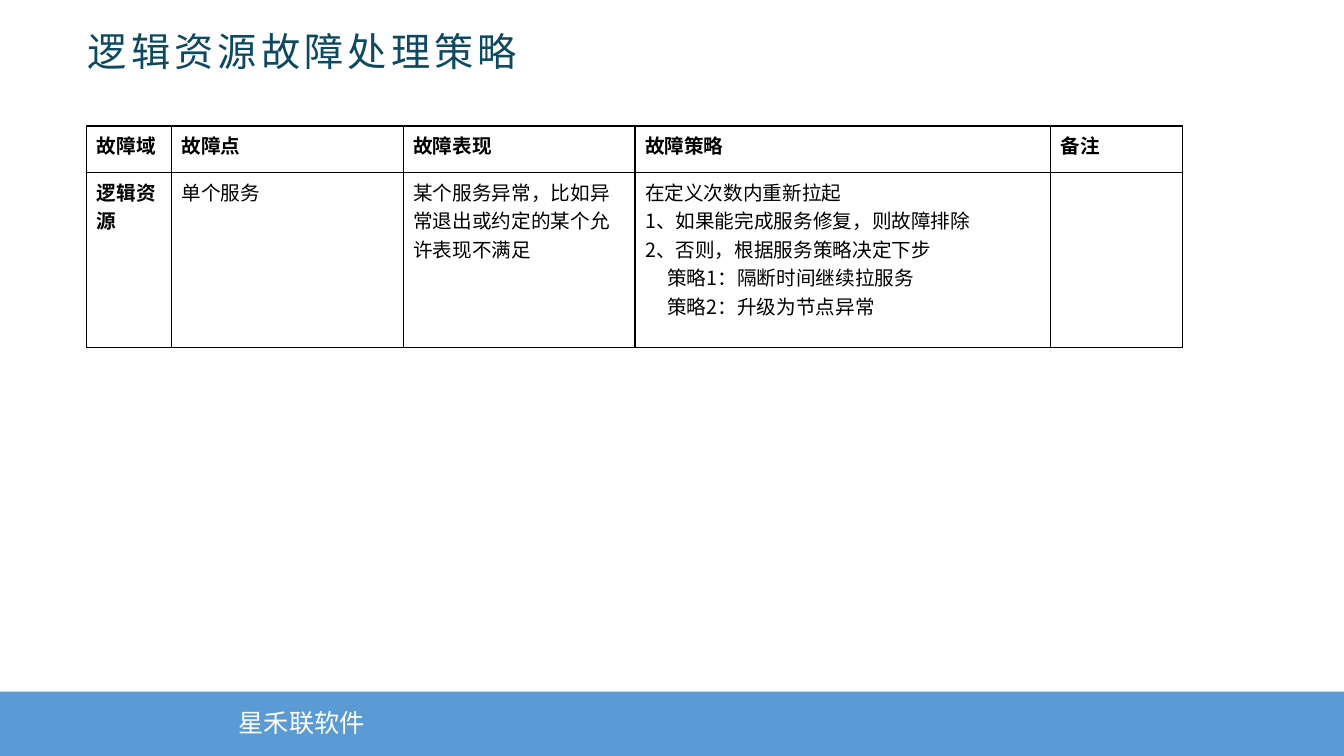
"""Build the fault handling strategy slide."""
from dataclasses import dataclass

from lxml import etree
from pptx import Presentation
from pptx.dml.color import RGBColor
from pptx.enum.shapes import MSO_SHAPE
from pptx.enum.text import MSO_ANCHOR
from pptx.oxml.ns import qn
from pptx.util import Inches, Pt

RECTANGLE = MSO_SHAPE.RECTANGLE
MIDDLE = MSO_ANCHOR.MIDDLE
SLIDE_WIDTH, SLIDE_HEIGHT = Inches(13.33), Inches(7.5)
COLOURS = {"bar": "5B9BD5", "white": "FFFFFF", "title": "0D4960", "black": "000000"}
SANS_SC, SANS_JP = "Noto Sans CJK SC", "Noto Sans CJK JP"
BORDER_SIDES = ("lnL", "lnR", "lnT", "lnB")
STRATEGY_INDENT = Inches(0.22)


@dataclass(frozen=True)
class Box:
    """Hold a place in percent of the slide's size."""
    left: float
    top: float
    width: float
    height: float

    def lengths(self) -> tuple[int, int, int, int]:
        """Return left, top, width and height as lengths."""
        return across(self.left), down(self.top), across(self.width), down(self.height)


@dataclass(frozen=True)
class TextStyle:
    """Describe how the characters of a run look."""
    size: float
    face: str
    colour: str
    bold: bool = False
    spacing: int = 0


@dataclass(frozen=True)
class Label:
    """Describe one line of free text."""
    box: Box
    text: str
    style: TextStyle
    side_margin: float = 0.1
    end_margin: float = 0.05


@dataclass(frozen=True)
class Line:
    """Describe one paragraph of a table cell."""
    text: str
    indent: int = 0


BAR = Box(0, 91.47, 100, 8.53)
LABELS = (
    Label(Box(17.03, 92.93, 11.1, 5.33), "星禾联软件", TextStyle(18, SANS_SC, "white")),
    Label(Box(5.93, 3.07, 43.51, 7.33), "逻辑资源故障处理策略",
          TextStyle(28, SANS_JP, "title", spacing=300), 0.08, 0.04),
)
TABLE_LEFT, TABLE_TOP = 6.45, 16.67
COLUMN_WIDTHS = (6.3, 17.25, 17.25, 30.91, 9.83)
ROW_HEIGHTS = (6.13, 23.2)
HEADINGS = ("故障域", "故障点", "故障表现", "故障策略", "备注")
TABLE_ROWS = (
    tuple((Line(heading),) for heading in HEADINGS),
    (
        (Line("逻辑资源"),),
        (Line("单个服务"),),
        (Line("某个服务异常，比如异常退出或约定的某个允许表现不满足"),),
        (
            Line("在定义次数内重新拉起"),
            Line("1、如果能完成服务修复，则故障排除"),
            Line("2、否则，根据服务策略决定下步"),
            Line("策略1：隔断时间继续拉服务", STRATEGY_INDENT),
            Line("策略2：升级为节点异常", STRATEGY_INDENT),
        ),
        (),
    ),
)


def across(percent: float) -> int:
    """Turn a percentage of the slide's width into a length."""
    return round(SLIDE_WIDTH * percent / 100)


def down(percent: float) -> int:
    """Turn a percentage of the slide's height into a length."""
    return round(SLIDE_HEIGHT * percent / 100)


def colour(name: str) -> RGBColor:
    """Look up a named colour."""
    return RGBColor.from_string(COLOURS[name])


def apply_format(target, values: dict) -> None:
    """Set each attribute of the target from a dict."""
    for name, value in values.items():
        setattr(target, name, value)


def write_run(paragraph, text: str, style: TextStyle) -> None:
    """Add a styled run to a paragraph."""
    run = paragraph.add_run()
    run.text = text
    apply_format(run.font, {"size": Pt(style.size), "name": style.face, "bold": style.bold})
    run.font.color.rgb = colour(style.colour)
    properties = run.font._element
    etree.SubElement(properties, qn("a:ea")).set("typeface", style.face)
    if style.spacing:
        properties.set("spc", str(style.spacing))


def draw_bar(slide) -> None:
    """Draw the footer bar."""
    bar = slide.shapes.add_shape(RECTANGLE, *BAR.lengths())
    bar.shadow.inherit = False
    bar.fill.solid()
    bar.fill.fore_color.rgb = colour("bar")
    bar.line.fill.background()


def draw_label(slide, label: Label) -> None:
    """Draw one line of free text."""
    frame = slide.shapes.add_textbox(*label.box.lengths()).text_frame
    side, end = Inches(label.side_margin), Inches(label.end_margin)
    apply_format(frame, {
        "word_wrap": True, "vertical_anchor": MIDDLE,
        "margin_left": side, "margin_right": side, "margin_top": end, "margin_bottom": end,
    })
    write_run(frame.paragraphs[0], label.text, label.style)


def add_borders(cell) -> None:
    """Give a cell a thin black border on each side."""
    properties = cell._tc.get_or_add_tcPr()
    for position, side in enumerate(BORDER_SIDES):
        border = etree.Element(qn(f"a:{side}"), w=str(Pt(1)))
        fill = etree.SubElement(border, qn("a:solidFill"))
        etree.SubElement(fill, qn("a:srgbClr"), val=COLOURS["black"])
        properties.insert(position, border)


def fill_cell(cell, lines: tuple[Line, ...], bold: bool) -> None:
    """Colour a cell, border it and write its lines."""
    cell.fill.solid()
    cell.fill.fore_color.rgb = colour("white")
    add_borders(cell)
    style = TextStyle(14, SANS_SC, "black", bold)
    frame = cell.text_frame
    for index, line in enumerate(lines):
        paragraph = frame.add_paragraph() if index else frame.paragraphs[0]
        if line.indent:
            paragraph._p.get_or_add_pPr().set("marL", str(line.indent))
        write_run(paragraph, line.text, style)


def draw_table(slide) -> None:
    """Draw the table of faults and strategies."""
    box = Box(TABLE_LEFT, TABLE_TOP, sum(COLUMN_WIDTHS), sum(ROW_HEIGHTS))
    table = slide.shapes.add_table(len(ROW_HEIGHTS), len(COLUMN_WIDTHS), *box.lengths()).table
    apply_format(table, {"first_row": False, "horz_banding": False})
    for column, width in zip(table.columns, COLUMN_WIDTHS):
        column.width = across(width)
    for row, height in zip(table.rows, ROW_HEIGHTS):
        row.height = down(height)
    for row_index, row_cells in enumerate(TABLE_ROWS):
        for column_index, lines in enumerate(row_cells):
            bold = row_index == 0 or column_index == 0
            fill_cell(table.cell(row_index, column_index), lines, bold)


def main() -> None:
    """Build and save the presentation."""
    presentation = Presentation()
    apply_format(presentation, {"slide_width": SLIDE_WIDTH, "slide_height": SLIDE_HEIGHT})
    slide = presentation.slides.add_slide(presentation.slide_layouts[6])
    draw_bar(slide)
    for label in LABELS:
        draw_label(slide, label)
    draw_table(slide)
    presentation.save("out.pptx")


if __name__ == "__main__":
    main()
